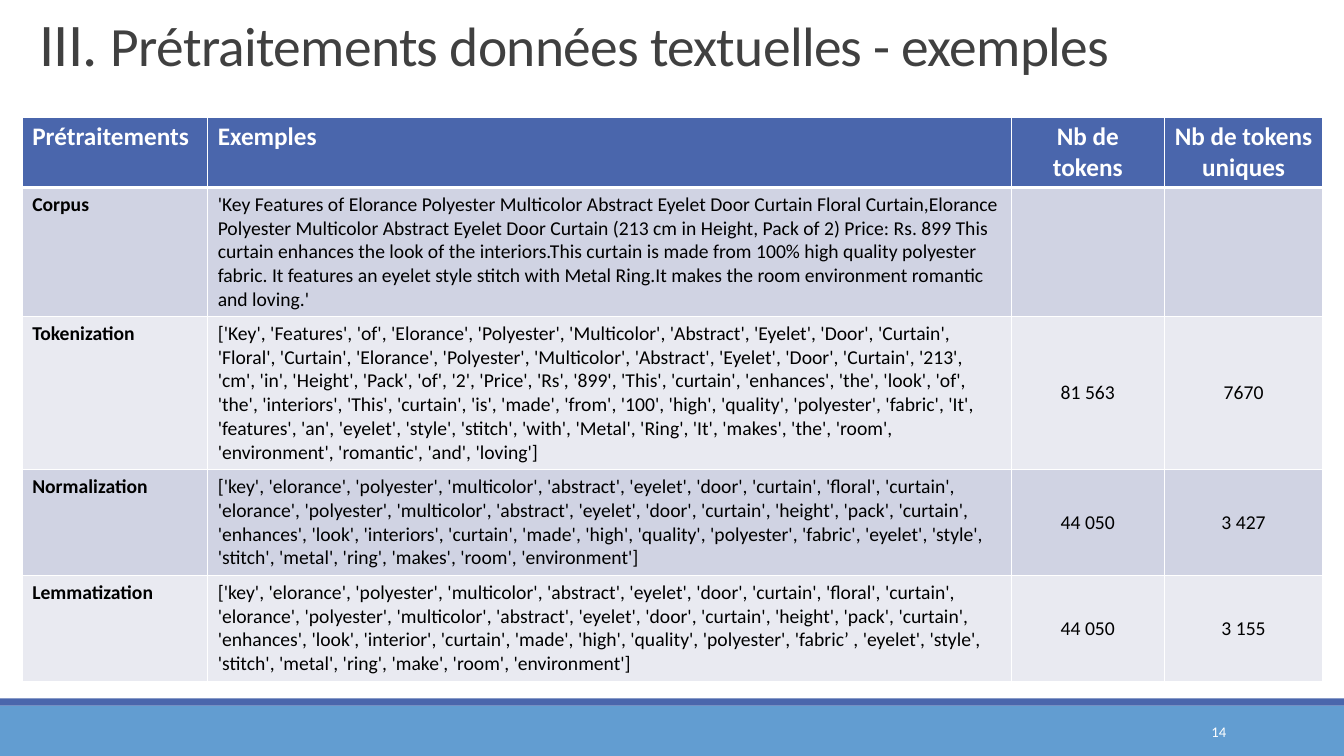
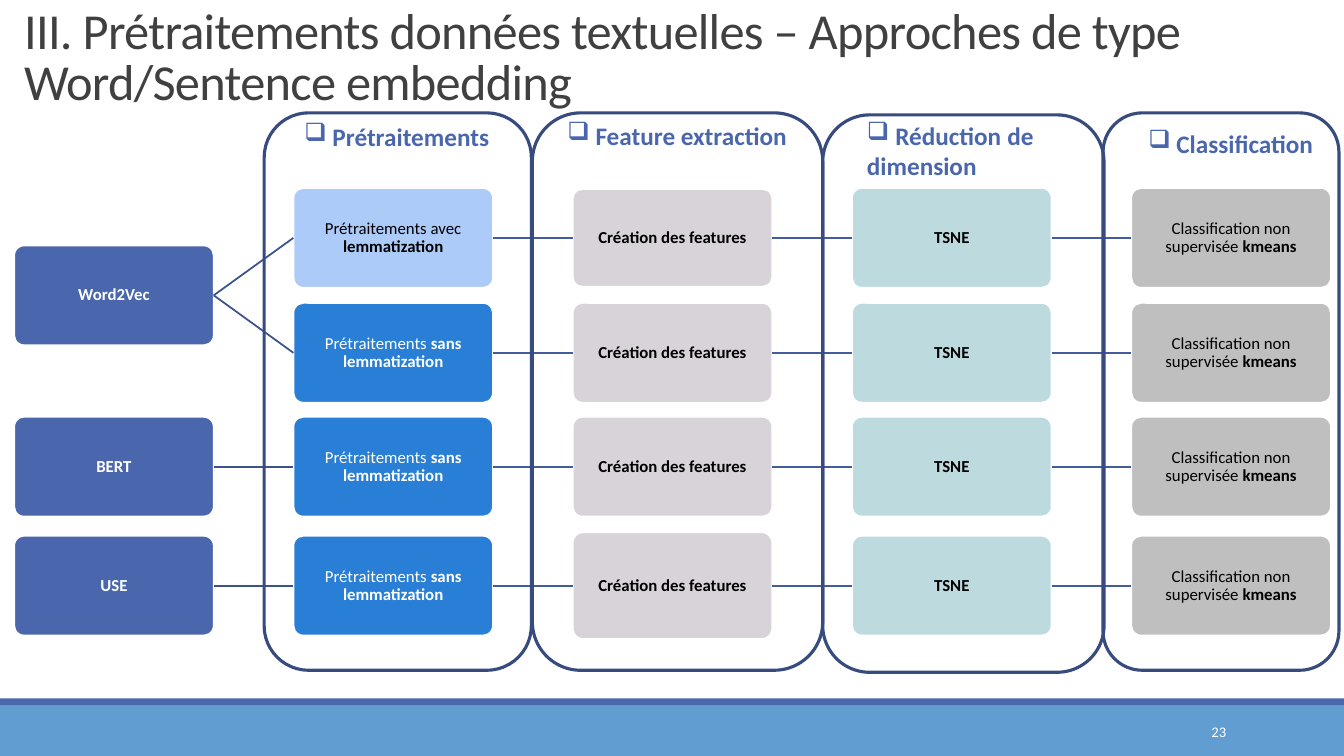
from pptx import Presentation
from pptx.dml.color import RGBColor
from pptx.enum.shapes import MSO_CONNECTOR, MSO_SHAPE
from pptx.enum.text import MSO_ANCHOR, PP_ALIGN
from pptx.oxml.ns import qn
from pptx.util import Inches, Pt
from lxml import etree

RECT, ROUND = MSO_SHAPE.RECTANGLE, MSO_SHAPE.ROUNDED_RECTANGLE
LINE = MSO_CONNECTOR.STRAIGHT
TOP, MID, BASE = MSO_ANCHOR.TOP, MSO_ANCHOR.MIDDLE, MSO_ANCHOR.BOTTOM
LEFT, MIDST, RIGHT, FULL = PP_ALIGN.LEFT, PP_ALIGN.CENTER, PP_ALIGN.RIGHT, PP_ALIGN.JUSTIFY

FONT = "Calibri"
WIDE, HIGH = 13.33, 7.5
HUES = {
    "white": "FFFFFF", "black": "000000", "title": "404040",
    "blue": "4A66AC", "band": "629DD1", "frame": "374B7F",
    "first": "3B528A", "link": "435D9C", "odd": "D0D3E3", "even": "E9EAF1",
    "pale": "ACCBF9", "vivid": "297FD5", "mauve": "D8D3D9",
    "teal": "BDDADF", "grey": "BFBFBF",
}

COLS = [1.84, 7.97, 1.52, 1.57]
ROWS = [0.7, 1.28, 1.52, 1.05, 1.05]
HEAD = ["Prétraitements", "Exemples", "Nb de tokens", "Nb de tokens uniques"]
BODY = [
    ["Corpus",
     "'Key Features of Elorance Polyester Multicolor Abstract Eyelet Door Curtain Floral "
     "Curtain,Elorance Polyester Multicolor Abstract Eyelet Door Curtain (213 cm in Height, "
     "Pack of 2) Price: Rs. 899 This curtain enhances the look of the interiors.This curtain "
     "is made from 100% high quality polyester fabric. It features an eyelet style stitch "
     "with Metal Ring.It makes the room environment romantic and loving.'",
     "", ""],
    ["Tokenization",
     "['Key', 'Features', 'of', 'Elorance', 'Polyester', 'Multicolor', 'Abstract', 'Eyelet', "
     "'Door', 'Curtain', 'Floral', 'Curtain', 'Elorance', 'Polyester', 'Multicolor', "
     "'Abstract', 'Eyelet', 'Door', 'Curtain', '213', 'cm', 'in', 'Height', 'Pack', 'of', "
     "'2', 'Price', 'Rs', '899', 'This', 'curtain', 'enhances', 'the', 'look', 'of', 'the', "
     "'interiors', 'This', 'curtain', 'is', 'made', 'from', '100', 'high', 'quality', "
     "'polyester', 'fabric', 'It', 'features', 'an', 'eyelet', 'style', 'stitch', 'with', "
     "'Metal', 'Ring', 'It', 'makes', 'the', 'room', 'environment', 'romantic', 'and', "
     "'loving']",
     "81 563", "7670"],
    ["Normalization",
     "['key', 'elorance', 'polyester', 'multicolor', 'abstract', 'eyelet', 'door', "
     "'curtain', 'floral', 'curtain', 'elorance', 'polyester', 'multicolor', 'abstract', "
     "'eyelet', 'door', 'curtain', 'height', 'pack', 'curtain', 'enhances', 'look', "
     "'interiors', 'curtain', 'made', 'high', 'quality', 'polyester', 'fabric', 'eyelet', "
     "'style', 'stitch', 'metal', 'ring', 'makes', 'room', 'environment']",
     "44 050", "3 427"],
    ["Lemmatization",
     "['key', 'elorance', 'polyester', 'multicolor', 'abstract', 'eyelet', 'door', "
     "'curtain', 'floral', 'curtain', 'elorance', 'polyester', 'multicolor', 'abstract', "
     "'eyelet', 'door', 'curtain', 'height', 'pack', 'curtain', 'enhances', 'look', "
     "'interior', 'curtain', 'made', 'high', 'quality', 'polyester', 'fabric’ , 'eyelet', "
     "'style', 'stitch', 'metal', 'ring', 'make', 'room', 'environment']",
     "44 050", "3 155"],
]

EDGE, STEP, BOX, TALL = 0.14, 2.77, 1.98, 0.99
MIDS = [2.36, 3.5, 4.63, 5.81]
MODELS = [("Word2Vec", (MIDS[0] + MIDS[1]) / 2, [0, 1]),
          ("BERT", MIDS[2], [2]), ("USE", MIDS[3], [3])]
WITH = ("pale", "black", [("Prétraitements avec ", False), ("lemmatization", True)])
SANS = ("vivid", "white", [("Prétraitements ", False), ("sans lemmatization", True)])
PREPS = [WITH, SANS, SANS, SANS]
STAGES = [
    ("mauve", "black", [("Création des features", True)]),
    ("teal", "black", [("TSNE", True)]),
    ("grey", "black", [("Classification non supervisée ", False), ("kmeans", True)]),
]
ODD = {(2, 0): 0.97, (2, 3): 1.06}
FRAMES = [(2.62, 5.27, 1.12), (5.28, 8.16, 1.12), (8.16, 10.95, 1.14), (10.94, 13.28, 1.12)]
LABELS = [
    (" Prétraitements", 2.92, 1.15, 2.47, 0.4),
    (" Feature extraction", 5.53, 1.14, 2.47, 0.4),
    (" Réduction de dimension", 8.5, 1.14, 1.85, 0.71),
    (" Classification", 11.29, 1.22, 1.85, 0.4),
]


def tint(key):
    """Return the colour held under a key."""
    return RGBColor.from_string(HUES[key])


def place(*dims):
    """Turn lengths in inches into slide units."""
    return [Inches(dim) for dim in dims]


def write(par, text, size, hue, bold=False):
    """Add one styled run to a paragraph."""
    run = par.add_run()
    run.text = text
    font = run.font
    font.name, font.size, font.bold = FONT, Pt(size), bold
    font.color.rgb = tint(hue)
    return run


def label(slide, dims, anchor, align):
    """Add a wrapping text box and return its paragraph."""
    frame = slide.shapes.add_textbox(*place(*dims)).text_frame
    frame.word_wrap, frame.vertical_anchor = True, anchor
    par = frame.paragraphs[0]
    par.alignment = align
    return par


def block(slide, kind, dims, fill=None, line=None, width=1.25):
    """Add a flat shape with an optional fill and outline."""
    shape = slide.shapes.add_shape(kind, *place(*dims))
    shape.shadow.inherit = False
    if fill:
        shape.fill.solid()
        shape.fill.fore_color.rgb = tint(fill)
    else:
        shape.fill.background()
    if line:
        shape.line.color.rgb = tint(line)
        shape.line.width = Pt(width)
    else:
        shape.line.fill.background()
    return shape


def base(deck, page, left, top, runs):
    """Start a slide with its bands, page number and title."""
    slide = deck.slides.add_slide(deck.slide_layouts[6])
    block(slide, RECT, (0, 7, WIDE, 0.5), "band")
    block(slide, RECT, (0, 6.93, WIDE, 0.07), "blue")
    write(label(slide, (10.83, 7.06, 1.43, 0.4), MID, RIGHT), page, 10.5, "white")
    par = label(slide, (left, top, 13.05, 0.58), BASE, LEFT)
    par.line_spacing = 0.85
    for text, size in runs:
        run = write(par, text, size, "title")
        run.font._element.set("spc", "-50")
    return slide


def border(cell, head):
    """Draw the white rules round a cell."""
    props = cell._tc.get_or_add_tcPr()
    for side in "LRTB":
        width = 3 if head and side == "B" else 1
        rule = etree.SubElement(props, qn("a:ln" + side), w=str(Pt(width)))
        fill = etree.SubElement(rule, qn("a:solidFill"))
        etree.SubElement(fill, qn("a:srgbClr"), val=HUES["white"])


def grid(slide):
    """Add the table of examples."""
    dims = place(0.22, 1.16, sum(COLS), sum(ROWS))
    table = slide.shapes.add_table(len(ROWS), len(COLS), *dims).table
    table.horz_banding = False
    for col, width in zip(table.columns, COLS):
        col.width = Inches(width)
    for row, tall in zip(table.rows, ROWS):
        row.height = Inches(tall)
    for i, texts in enumerate([HEAD] + BODY):
        head = i == 0
        fill = "blue" if head else "odd" if i % 2 else "even"
        for j, text in enumerate(texts):
            cell = table.cell(i, j)
            border(cell, head)
            cell.fill.solid()
            cell.fill.fore_color.rgb = tint(fill)
            cell.vertical_anchor = MID if j > 1 and not head else TOP
            par = cell.text_frame.paragraphs[0]
            par.alignment = MIDST if j > 1 else LEFT
            if text:
                write(par, text, 18 if head else 14, "white" if head else "black",
                      head or j == 0)


def node(slide, col, mid, style, tall=TALL):
    """Add a rounded step centred on a row of the flow."""
    fill, hue, runs = style
    dims = (EDGE + col * STEP, mid - tall / 2, BOX, tall)
    shape = block(slide, ROUND, dims, fill, "white")
    shape.adjustments[0] = 0.1
    frame = shape.text_frame
    frame.word_wrap, frame.vertical_anchor = True, MID
    frame.margin_left = frame.margin_right = Inches(0.04)
    frame.margin_top = frame.margin_bottom = Inches(0.04)
    par = frame.paragraphs[0]
    par.alignment, par.line_spacing = MIDST, 0.9
    for text, bold in runs:
        write(par, text, 12, hue, bold)
    return shape


def link(slide, start, end, hue):
    """Join the right side of one step to the left side of the next."""
    line = slide.shapes.add_connector(LINE, 0, 0, 0, 0)
    line.begin_connect(start, 3)
    line.end_connect(end, 1)
    line.line.color.rgb = tint(hue)
    line.line.width = Pt(1.25)
    etree.SubElement(line._element.spPr, qn("a:effectLst"))


def flow(slide):
    """Add the steps of each approach and their links."""
    preps = []
    for row, mid in enumerate(MIDS):
        chain = [node(slide, col, mid, style, ODD.get((col, row), TALL))
                 for col, style in enumerate([PREPS[row]] + STAGES, 1)]
        for start, end in zip(chain, chain[1:]):
            link(slide, start, end, "link")
        preps.append(chain[0])
    for name, mid, rows in MODELS:
        model = node(slide, 0, mid, ("blue", "white", [(name, True)]))
        for row in rows:
            link(slide, model, preps[row], "first")


def stages(slide):
    """Add the outlines and headings of the stages."""
    for left, right, top in FRAMES:
        block(slide, ROUND, (left, top, right - left, 5.53), None, "frame", 2.25)
    for text, *dims in LABELS:
        par = label(slide, dims, TOP, FULL)
        props = par._p.get_or_add_pPr()
        etree.SubElement(props, qn("a:buChar"), char="❑")
        write(par, text, 18, "blue", True)


def main():
    """Build and save the deck."""
    deck = Presentation()
    deck.slide_width, deck.slide_height = place(WIDE, HIGH)
    grid(base(deck, "14", 0.29, 0.25, [
        ("III. ", 43.2), ("Prétraitements données textuelles - exemples", 39.6)]))
    slide = base(deck, "23", 0.14, 0.57, [
        ("III. Prétraitements données textuelles – Approches de type "
         "Word/Sentence embedding", 36)])
    flow(slide)
    stages(slide)
    deck.save("out.pptx")


if __name__ == "__main__":
    main()
